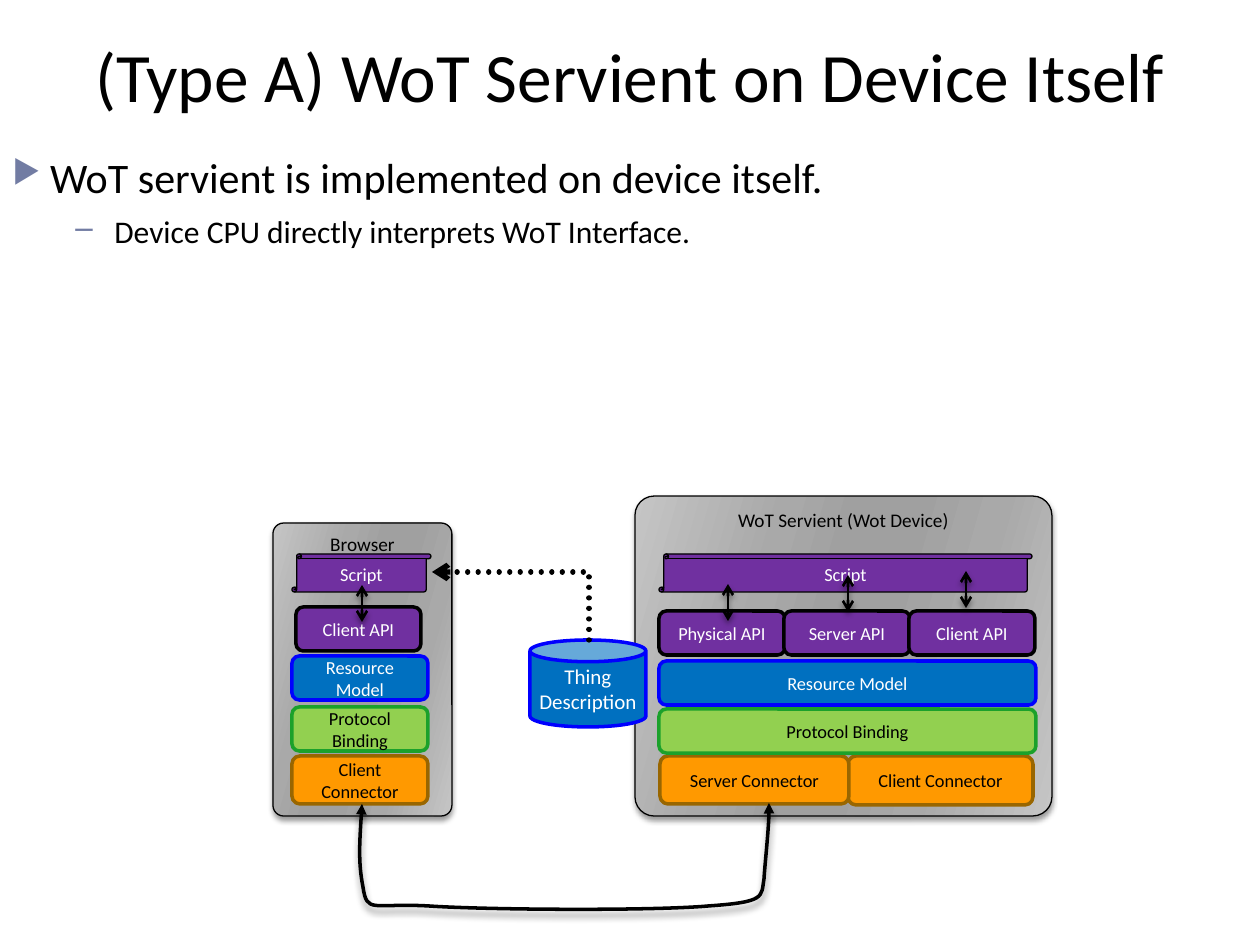
from lxml import etree
from pptx import Presentation
from pptx.dml.color import RGBColor
from pptx.enum.dml import MSO_LINE
from pptx.enum.shapes import MSO_CONNECTOR, MSO_SHAPE
from pptx.enum.text import MSO_ANCHOR, PP_ALIGN
from pptx.oxml.ns import qn
from pptx.util import Emu, Inches, Pt

PX = 914400 / 126
ROUNDED, SCROLL, CAN = MSO_SHAPE.ROUNDED_RECTANGLE, MSO_SHAPE.VERTICAL_SCROLL, MSO_SHAPE.CAN
STRAIGHT, ELBOW = MSO_CONNECTOR.STRAIGHT, MSO_CONNECTOR.ELBOW
ROUND_DOT = MSO_LINE.ROUND_DOT
TOP, MIDDLE = MSO_ANCHOR.TOP, MSO_ANCHOR.MIDDLE
LEFT, CENTER = PP_ALIGN.LEFT, PP_ALIGN.CENTER

THEME = {
    "font": "Calibri",
    "black": "000000",
    "white": "FFFFFF",
    "bullet": "727CA3",
    "panel": [(0, "C5C5C5"), (30, "A9A9A9"), (45, "A0A0A0"),
              (55, "A0A0A0"), (73, "A9A9A9"), (100, "C5C5C5")],
    "sizes": {"title": 39.6, "point": 24, "subpoint": 18,
              "panel": 11, "layer": 10.5, "store": 12},
    # fill, outline, outline width, text
    "script": ("7030A0", "000000", 0.75, "FFFFFF"),
    "api": ("7030A0", "000000", 2, "FFFFFF"),
    "model": ("0070C0", "0000FF", 2, "FFFFFF"),
    "binding": ("92D050", "1BA12B", 2, "000000"),
    "connector": ("FF9900", "996600", 2, "000000"),
}

PANELS = [
    ("WoT Servient (Wot Device)", (635, 496, 417, 320)),
    ("Browser", (273, 523, 179, 293)),
]
LAYERS = [
    ("connector", "Client Connector", (848, 756, 185, 49)),
    ("connector", "Server Connector", (660, 756, 189, 48)),
    ("binding", "Protocol Binding", (659, 709, 377, 44)),
    ("model", "Resource Model", (659, 661, 377, 44)),
    ("script", "Script", (659, 554, 373, 38)),
    ("connector", "Client Connector", (292, 756, 136, 48)),
    ("binding", "Protocol\nBinding", (292, 707, 136, 44)),
    ("model", "Resource Model", (292, 656, 136, 44)),
    ("script", "Script", (292, 554, 139, 38)),
    ("api", "Client API", (296, 607, 125, 44)),
]
SERVIENT_APIS = ["Physical API", "Server API", "Client API"]
API_ARROWS = [(966, 571), (848, 575), (728, 584), (362, 585)]
API_ARROW_LENGTH = 37
LINK_START = (769, 803)
LINK_CURVES = [  # two control points and an end point for each curve
    (770, 819), (765, 863), (764, 879),
    (761, 897), (766, 902), (709, 906),
    (654, 911), (486, 910), (428, 906),
    (372, 903), (367, 914), (363, 887),
    (358, 862), (360, 837), (362, 804),
]


def px(*lengths):
    return [Emu(round(length * PX)) for length in lengths]


def rgb(code):
    return RGBColor.from_string(code)


def set_all(target, values):
    for name, value in values.items():
        setattr(target, name, value)


def add_node(parent, tag, **attributes):
    return etree.SubElement(parent, qn(tag), {key: str(value) for key, value in attributes.items()})


def format_para(para, size, color, align):
    set_all(para, {"alignment": align})
    set_all(para.font, {"name": THEME["font"], "size": Pt(size)})
    para.font.color.rgb = rgb(color)


def write_text(shape, text, size, color, anchor=MIDDLE, wrap=True):
    frame = shape.text_frame
    set_all(frame, {"text": text, "word_wrap": wrap, "vertical_anchor": anchor})
    for para in frame.paragraphs:
        format_para(para, size, color, CENTER)


def set_line(shape, color, width):
    shape.line.color.rgb = rgb(color)
    shape.line.width = Pt(width)


def set_shadow(shape, blur=3, distance=2):
    """Put a soft shadow below the shape; a blur of 0 leaves it without one."""
    properties = shape.element.spPr
    effects = properties.find(qn("a:effectLst"))
    if effects is None:
        effects = add_node(properties, "a:effectLst")
    if blur:
        shadow = add_node(effects, "a:outerShdw", blurRad=Pt(blur), dist=Pt(distance),
                          dir=90 * 60000, rotWithShape=0)
        color = add_node(shadow, "a:srgbClr", val=THEME["black"])
        add_node(color, "a:alpha", val=40000)


def set_panel_gradient(shape):
    shape.fill.gradient()
    gradient = shape.element.spPr.find(qn("a:gradFill"))
    for child in list(gradient):
        gradient.remove(child)
    stops = add_node(gradient, "a:gsLst")
    for position, color in THEME["panel"]:
        add_node(add_node(stops, "a:gs", pos=position * 1000), "a:srgbClr", val=color)
    add_node(gradient, "a:lin", ang=16 * 60000, scaled=0)


def set_arrowheads(shape, head, tail):
    line = shape.element.spPr.find(qn("a:ln"))
    for tag, kind in (("a:headEnd", head), ("a:tailEnd", tail)):
        if kind:
            add_node(line, tag, type=kind)


def add_title(slide, text):
    title = slide.shapes.title
    set_all(title, dict(zip(("left", "top", "width", "height"), px(63, -4, 1134, 158))))
    write_text(title, text, THEME["sizes"]["title"], THEME["black"])


def add_bullets(slide, points):
    box = slide.shapes.add_textbox(*px(0, 145, 1245, 624))
    frame = box.text_frame
    frame.word_wrap = True
    for index, (text, level, mark, mark_size, indent, hanging, size) in enumerate(points):
        para = frame.add_paragraph() if index else frame.paragraphs[0]
        set_all(para, {"text": text, "level": level})
        properties = para._p.get_or_add_pPr()
        properties.set("marL", str(Inches(indent)))
        properties.set("indent", str(-Inches(hanging)))
        add_node(add_node(properties, "a:buClr"), "a:srgbClr", val=THEME["bullet"])
        add_node(properties, "a:buSzPct", val=mark_size * 1000)
        add_node(properties, "a:buChar", char=mark)
        format_para(para, size, THEME["black"], LEFT)
        if index:
            para.space_before = Pt(6)


def add_panel(slide, text, bounds):
    panel = slide.shapes.add_shape(ROUNDED, *px(*bounds))
    panel.adjustments[0] = 0.06
    panel.shadow.inherit = False
    set_panel_gradient(panel)
    set_line(panel, THEME["black"], 0.75)
    set_shadow(panel)
    write_text(panel, text, THEME["sizes"]["panel"], THEME["black"], TOP, wrap=False)


def add_block(slide, kind, text, bounds, preset=ROUNDED, size="layer"):
    fill, outline, width, color = THEME[kind]
    block = slide.shapes.add_shape(preset, *px(*bounds))
    block.shadow.inherit = False
    block.fill.solid()
    block.fill.fore_color.rgb = rgb(fill)
    set_line(block, outline, width)
    write_text(block, text, THEME["sizes"][size], color, wrap=preset == ROUNDED)


def add_api_arrow(slide, x, top):
    arrow = slide.shapes.add_connector(STRAIGHT, *px(x, top, x, top + API_ARROW_LENGTH))
    set_line(arrow, THEME["black"], 1.5)
    set_arrowheads(arrow, "arrow", "arrow")
    set_shadow(arrow)


def add_dotted_elbow(slide, start, end):
    """Go straight up from start, then left to end: a one-bend elbow turned by 270 degrees."""
    (start_x, start_y), (end_x, end_y) = start, end
    middle_x, middle_y = (start_x + end_x) / 2, (start_y + end_y) / 2
    half_width, half_height = (start_y - end_y) / 2, (start_x - end_x) / 2
    elbow = slide.shapes.add_connector(ELBOW, *px(
        middle_x - half_width, middle_y + half_height,
        middle_x + half_width, middle_y - half_height))
    properties = elbow.element.spPr
    properties.find(qn("a:xfrm")).set("rot", str(270 * 60000))
    properties.find(qn("a:prstGeom")).set("prst", "bentConnector2")
    set_line(elbow, THEME["black"], 3)
    elbow.line.dash_style = ROUND_DOT
    properties.find(qn("a:ln")).set("cap", "rnd")
    set_arrowheads(elbow, None, "arrow")
    set_shadow(elbow, blur=0)


def add_curved_link(slide, start, points):
    builder = slide.shapes.build_freeform(*start, scale=PX)
    builder.add_line_segments(points, close=False)
    link = builder.convert_to_shape()
    outline = link.element.spPr.find(".//" + qn("a:path"))
    segments = outline.findall(qn("a:lnTo"))
    for first in range(0, len(segments), 3):
        curve = add_node(outline, "a:cubicBezTo")
        for segment in segments[first:first + 3]:
            curve.append(segment[0])
            outline.remove(segment)
    link.shadow.inherit = False
    link.fill.background()
    set_line(link, THEME["black"], 2)
    set_arrowheads(link, "triangle", "triangle")
    set_shadow(link, blur=4, distance=3.4)


def main():
    deck = Presentation()
    deck.slide_width, deck.slide_height = Inches(10), Inches(7.5)
    slide = deck.slides.add_slide(deck.slide_layouts[5])
    sizes = THEME["sizes"]
    add_title(slide, "(Type A) WoT Servient on Device Itself")
    add_bullets(slide, [
        ("WoT servient is implemented on device itself.", 0, "▶", 76, 0.3, 0.3, sizes["point"]),
        ("Device CPU directly interprets WoT Interface.", 1, "–", 100, 0.81, 0.31, sizes["subpoint"]),
    ])
    for text, bounds in PANELS:
        add_panel(slide, text, bounds)
    for kind, text, bounds in LAYERS:
        add_block(slide, kind, text, bounds, SCROLL if kind == "script" else ROUNDED)
    for index, text in enumerate(SERVIENT_APIS):
        add_block(slide, "api", text, (659 + 125 * index, 611, 126, 44))
    add_curved_link(slide, LINK_START, LINK_CURVES)
    for x, top in API_ARROWS:
        add_api_arrow(slide, x, top)
    add_block(slide, "model", "Thing\nDescription", (530, 640, 116, 87), CAN, "store")
    add_dotted_elbow(slide, (589, 640), (432, 572))
    deck.save("out.pptx")


if __name__ == "__main__":
    main()
